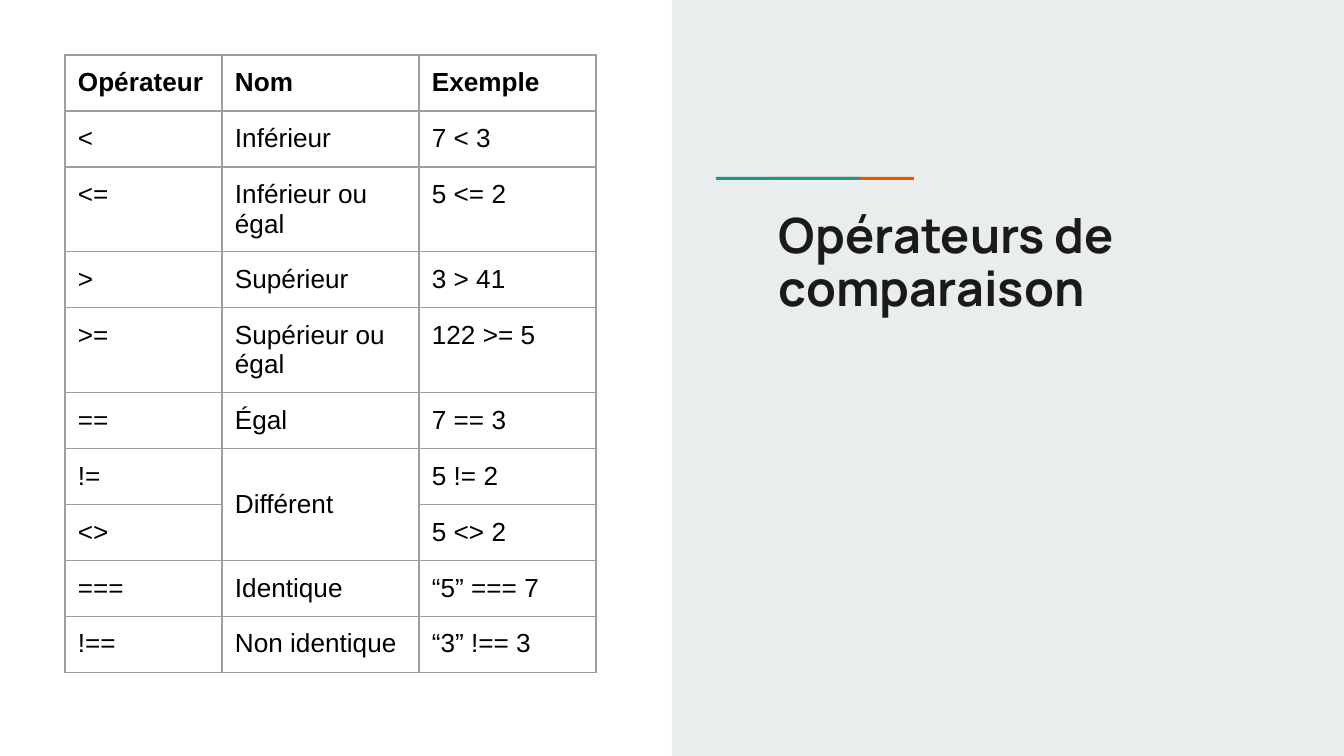
from dataclasses import dataclass

from lxml import etree
from pptx import Presentation
from pptx.dml.color import RGBColor
from pptx.enum.shapes import MSO_SHAPE
from pptx.enum.text import MSO_ANCHOR, MSO_AUTO_SIZE, PP_ALIGN
from pptx.oxml.ns import qn
from pptx.util import Pt

RECTANGLE = MSO_SHAPE.RECTANGLE
TOP, MIDDLE = MSO_ANCHOR.TOP, MSO_ANCHOR.MIDDLE
LEFT = PP_ALIGN.LEFT
FIXED_SIZE = MSO_AUTO_SIZE.NONE
TITLE_ONLY = 5
PX = 914400 / 134.4
WIDTH, HEIGHT = 1344, 756
INSET = 13
DIFFERENT_ROW = 6

ROWS = [
    ("Opérateur", "Nom", "Exemple"),
    ("<", "Inférieur", "7 < 3"),
    ("<=", "Inférieur ou égal", "5 <= 2"),
    (">", "Supérieur", "3 > 41"),
    (">=", "Supérieur ou égal", "122 >= 5"),
    ("==", "Égal", "7 == 3"),
    ("!=", "Différent", "5 != 2"),
    ("<>", "", "5 <> 2"),
    ("===", "Identique", "“5” === 7"),
    ("!==", "Non identique", "“3” !== 3"),
]


@dataclass(frozen=True)
class Theme:
    panel: str = "E9EDEE"
    orange: str = "EB5600"
    teal: str = "1A9988"
    heading: str = "1A1A1A"
    body: str = "000000"
    border: str = "9E9E9E"
    heading_font: str = "Manrope"
    body_font: str = "Arial"
    heading_size: float = 26
    body_size: float = 14
    border_width: float = 0.75


def px(*lengths):
    return [round(length * PX) for length in lengths]


def write_text(frame, text, *, font, size, color, bold=False, spacing=None):
    para = frame.paragraphs[0]
    para.alignment = LEFT
    para.line_spacing = spacing
    span = para.add_run()
    span.text = text
    span.font.name = font
    span.font.size = Pt(size)
    span.font.bold = bold
    span.font.color.rgb = RGBColor.from_string(color)


def set_borders(cell, color, width):
    """Outline all four sides; call before filling, as the schema puts lines first."""
    properties = cell._tc.get_or_add_tcPr()
    for side in ("a:lnL", "a:lnR", "a:lnT", "a:lnB"):
        line = etree.SubElement(properties, qn(side), w=str(Pt(width)))
        fill = etree.SubElement(line, qn("a:solidFill"))
        etree.SubElement(fill, qn("a:srgbClr"), val=color)


class SlideBuilder:
    def __init__(self, page, theme):
        self.page = page
        self.theme = theme

    def bar(self, left, top, width, height, color):
        shape = self.page.shapes.add_shape(RECTANGLE, *px(left, top, width, height))
        shape.shadow.inherit = False
        shape.fill.solid()
        shape.fill.fore_color.rgb = RGBColor.from_string(color)
        shape.line.fill.background()

    def title(self, text, left, top, width, height):
        box = self.page.shapes.title
        box.left, box.top, box.width, box.height = px(left, top, width, height)
        # Bring the placeholder in front of the panel
        self.page.shapes._spTree.append(box._element)
        frame = box.text_frame
        frame.word_wrap = True
        frame.auto_size = FIXED_SIZE
        frame.vertical_anchor = TOP
        frame.margin_left, frame.margin_top, frame.margin_right, frame.margin_bottom = px(*[INSET] * 4)
        write_text(frame, text, font=self.theme.heading_font, size=self.theme.heading_size,
                   color=self.theme.heading, bold=True, spacing=0.9)

    def cell(self, cell, text, bold):
        cell.margin_left, cell.margin_top, cell.margin_right, cell.margin_bottom = px(*[INSET] * 4)
        cell.vertical_anchor = MIDDLE if cell.is_merge_origin else TOP
        set_borders(cell, self.theme.border, self.theme.border_width)
        cell.fill.background()
        if not cell.is_spanned:
            write_text(cell.text_frame, text, font=self.theme.body_font,
                       size=self.theme.body_size, color=self.theme.body, bold=bold)

    def table(self, rows, left, top, column_widths, row_height):
        size = px(left, top, sum(column_widths), row_height * len(rows))
        table = self.page.shapes.add_table(len(rows), len(column_widths), *size).table
        table.horz_banding = False
        for column, width in zip(table.columns, px(*column_widths)):
            column.width = width
        table.cell(DIFFERENT_ROW, 1).merge(table.cell(DIFFERENT_ROW + 1, 1))
        for row_index, row in enumerate(rows):
            for column_index, text in enumerate(row):
                self.cell(table.cell(row_index, column_index), text, bold=row_index == 0)


def main():
    deck = Presentation()
    deck.slide_width, deck.slide_height = px(WIDTH, HEIGHT)
    theme = Theme()
    builder = SlideBuilder(deck.slides.add_slide(deck.slide_layouts[TITLE_ONLY]), theme)
    builder.bar(WIDTH // 2, 0, WIDTH // 2, HEIGHT, theme.panel)
    for left, color in ((770, theme.orange), (716, theme.teal)):
        builder.bar(left, 177, 144, 3, color)
    builder.title("Opérateurs de comparaison", 766, 199, 485, 249)
    builder.table(ROWS, 65, 55, (157, 197, 177), 56)
    deck.save("out.pptx")


if __name__ == "__main__":
    main()
